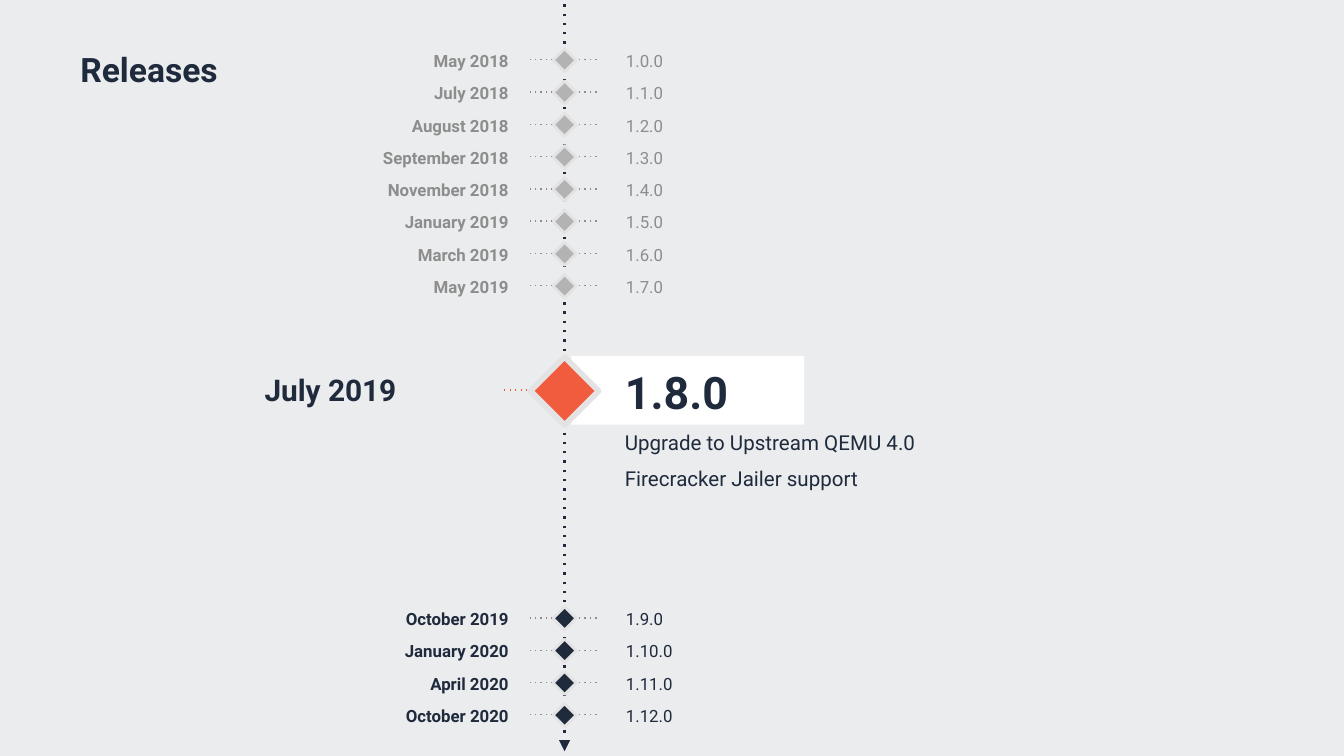
from lxml.etree import SubElement
from pptx import Presentation
from pptx.dml.color import RGBColor
from pptx.enum.shapes import MSO_CONNECTOR, MSO_SHAPE
from pptx.enum.text import MSO_ANCHOR, PP_ALIGN
from pptx.oxml.ns import qn
from pptx.util import Cm, Pt

NAVY = RGBColor(0x1F, 0x2A, 0x3D)
ORANGE = RGBColor(0xF1, 0x5B, 0x3E)
GRAY = RGBColor(0x8D, 0x8D, 0x8D)
SILVER = RGBColor(0xB3, 0xB3, 0xB3)
EDGE = RGBColor(0xE3, 0xE3, 0xE3)
WHITE = RGBColor(0xFF, 0xFF, 0xFF)
BACKGROUND = RGBColor(0xEA, 0xEC, 0xED)

TITLE = "Releases"
PAST = [
    ("May 2018", "1.0.0"),
    ("July 2018", "1.1.0"),
    ("August 2018", "1.2.0"),
    ("September 2018", "1.3.0"),
    ("November 2018", "1.4.0"),
    ("January 2019", "1.5.0"),
    ("March 2019", "1.6.0"),
    ("May 2019", "1.7.0"),
]
CURRENT_DATE = "July 2019"
CURRENT = [  # text, size, bold
    ("1.8.0", 24, True),
    ("Upgrade to Upstream QEMU 4.0", 11, False),
    ("Firecracker Jailer support", 11, False),
]
FUTURE = [
    ("October 2019", "1.9.0"),
    ("January 2020", "1.10.0"),
    ("April 2020", "1.11.0"),
    ("October 2020", "1.12.0"),
]
# releases, first row centre (cm), text colour, marker colour
PERIODS = [(PAST, 1.13, GRAY, SILVER), (FUTURE, 11.68, NAVY, NAVY)]

AXIS_X = 10.67
ROW_STEP = 0.61
ROW_HEIGHT = 0.64
DATE_RIGHT, DATE_WIDTH = 9.71, 2.8
VERSION_LEFT, VERSION_WIDTH = 11.73, 1.4
CURRENT_Y = 7.37

presentation = Presentation()
presentation.slide_width = Cm(25.4)
presentation.slide_height = Cm(14.29)
slide = presentation.slides.add_slide(presentation.slide_layouts[6])
slide.background.fill.solid()
slide.background.fill.fore_color.rgb = BACKGROUND


def add_text(lines, left, top, width, height, color, align=PP_ALIGN.LEFT,
             anchor=MSO_ANCHOR.TOP, insets=(0.25, 0.25)):
    """Add a text box; lines are (text, size, bold), insets are (sides, top and bottom)."""
    frame = slide.shapes.add_textbox(Cm(left), Cm(top), Cm(width), Cm(height)).text_frame
    frame.word_wrap = True
    frame.vertical_anchor = anchor
    frame.margin_left = frame.margin_right = Cm(insets[0])
    frame.margin_top = frame.margin_bottom = Cm(insets[1])
    frame.text = "\n".join(text for text, _, _ in lines)
    for index, (paragraph, (_, size, bold)) in enumerate(zip(frame.paragraphs, lines)):
        paragraph.alignment = align
        if index:
            paragraph.space_before = Pt(6)
        font = paragraph.runs[0].font
        font.name, font.size, font.bold = "Roboto", Pt(size), bold
        font.color.rgb = color


def add_dotted_line(x1, y1, x2, y2, color, width, arrow=False):
    connector = slide.shapes.add_connector(
        MSO_CONNECTOR.STRAIGHT, Cm(x1), Cm(y1), Cm(x2), Cm(y2))
    connector.line.color.rgb = color
    connector.line.width = Pt(width)
    properties = connector.line._get_or_add_ln()
    SubElement(properties, qn("a:prstDash"), val="dot")
    if arrow:
        SubElement(properties, qn("a:tailEnd"), type="triangle")
    SubElement(connector._element.spPr, qn("a:effectLst"))


def add_rectangle(left, top, width, height, color):
    rectangle = slide.shapes.add_shape(
        MSO_SHAPE.RECTANGLE, Cm(left), Cm(top), Cm(width), Cm(height))
    rectangle.shadow.inherit = False
    rectangle.fill.solid()
    rectangle.fill.fore_color.rgb = color
    rectangle.line.fill.background()
    return rectangle


def add_marker(y, side, color, edge_width):
    """Add a square turned by 45 degrees, centred on the axis."""
    marker = add_rectangle(AXIS_X - side / 2, y - side / 2, side, side, color)
    marker.rotation = 45
    marker.line.color.rgb = EDGE
    marker.line.width = Pt(edge_width)


add_text([(TITLE, 18, True)], 1.27, 0.25, 5.69, 2.13, NAVY, anchor=MSO_ANCHOR.MIDDLE)
add_dotted_line(AXIS_X, 0.08, AXIS_X, 14.2, NAVY, 1.25, arrow=True)

for releases, first_y, text_color, marker_color in PERIODS:
    for row, (date, version) in enumerate(releases):
        y = first_y + row * ROW_STEP
        top = y + 0.02 - ROW_HEIGHT / 2
        add_text([(date, 9, True)], DATE_RIGHT - DATE_WIDTH, top, DATE_WIDTH, ROW_HEIGHT,
                 text_color, PP_ALIGN.RIGHT, insets=(0.1, 0.13))
        add_text([(version, 9, False)], VERSION_LEFT, top, VERSION_WIDTH, ROW_HEIGHT,
                 text_color, insets=(0.1, 0.13))
        add_dotted_line(11.28, y, 10.01, y, GRAY, 0.75)
        add_marker(y + 0.01, 0.31, marker_color, 1.5)

add_dotted_line(10.8, CURRENT_Y, 9.53, CURRENT_Y, ORANGE, 0.75)
add_rectangle(10.8, 6.73, 4.4, 1.3, WHITE)
add_text(CURRENT, 11.56, 6.65, 11.46, 6.25, NAVY)
add_text([(CURRENT_DATE, 16, True)], 4.75, 6.63, 5.03, 1.45, NAVY, anchor=MSO_ANCHOR.MIDDLE)
add_marker(CURRENT_Y + 0.02, 0.91, ORANGE, 3)

presentation.save("out.pptx")
